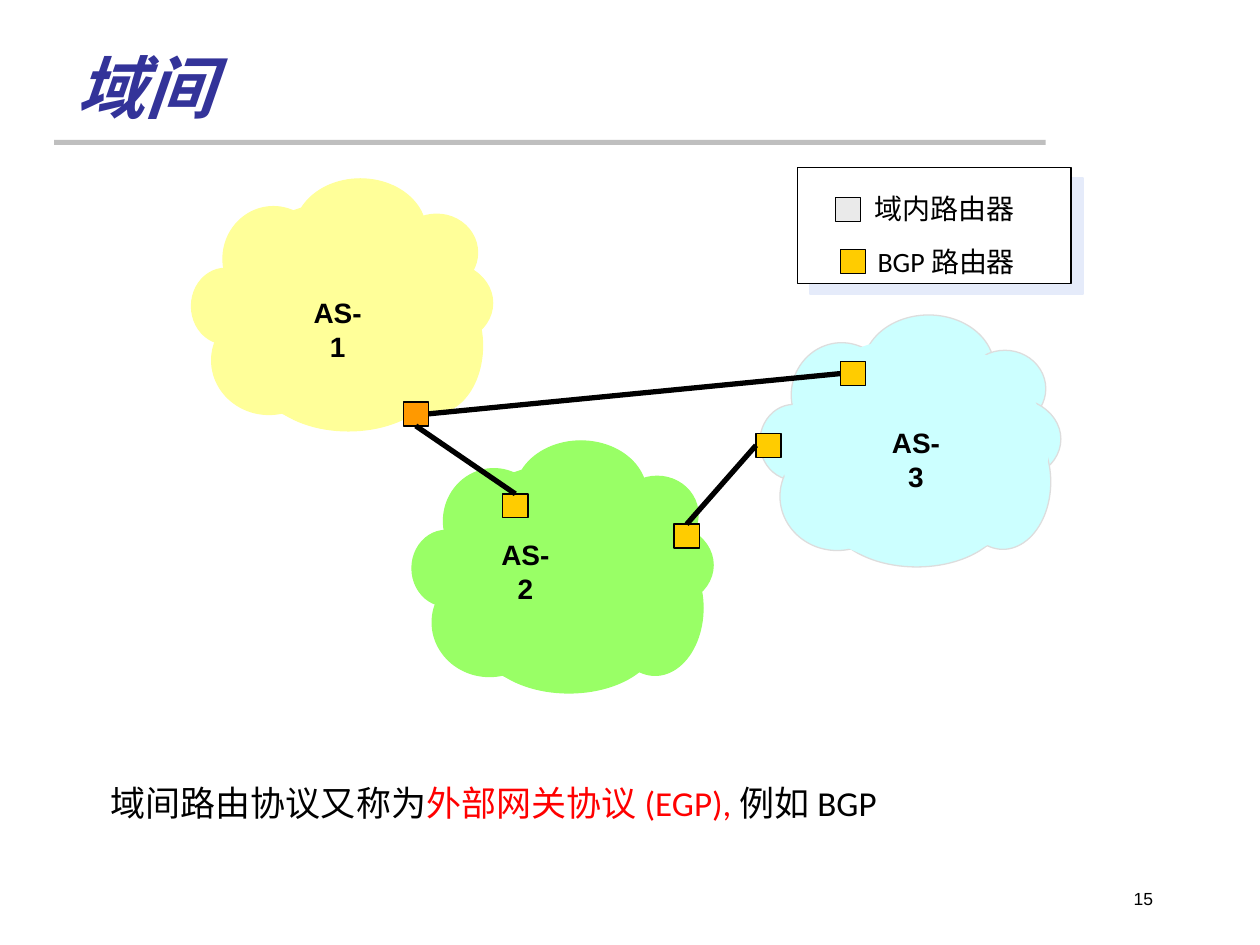
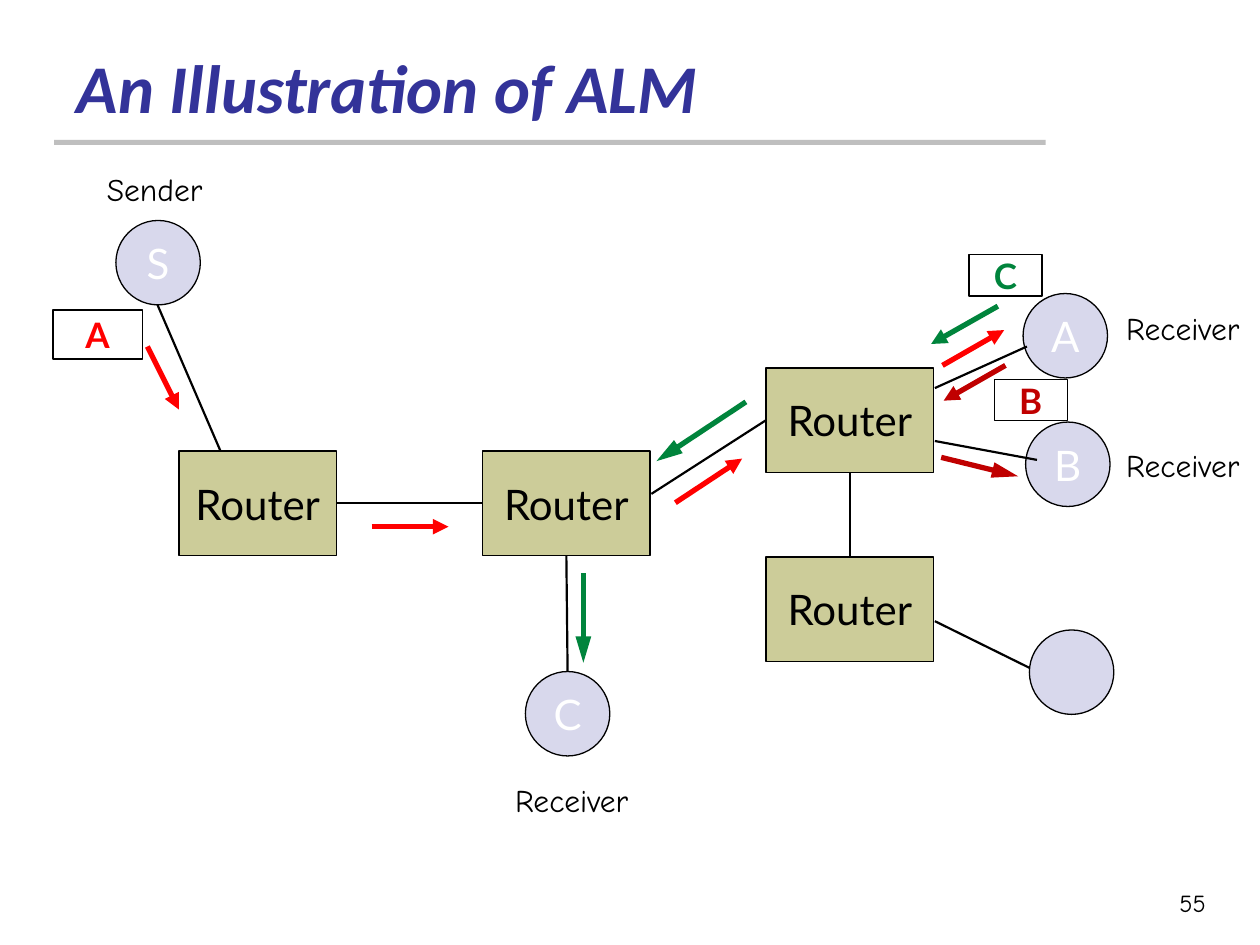
from dataclasses import dataclass

from lxml import etree
from pptx import Presentation
from pptx.dml.color import RGBColor
from pptx.enum.shapes import MSO_CONNECTOR, MSO_SHAPE
from pptx.enum.text import MSO_ANCHOR, MSO_AUTO_SIZE, PP_ALIGN
from pptx.oxml.ns import qn
from pptx.util import Pt

RECT, OVAL = MSO_SHAPE.RECTANGLE, MSO_SHAPE.OVAL
STRAIGHT = MSO_CONNECTOR.STRAIGHT
LEFT, MID, RIGHT = PP_ALIGN.LEFT, PP_ALIGN.CENTER, PP_ALIGN.RIGHT
CENTRE, LOW = MSO_ANCHOR.MIDDLE, MSO_ANCHOR.BOTTOM
GROW, FIXED = MSO_AUTO_SIZE.SHAPE_TO_FIT_TEXT, MSO_AUTO_SIZE.NONE
TOP, WEST, BASE, EAST = range(4)
EMU = 9144  # 100 px to the inch
TITLE_ONLY = 5

# Puffs of a cloud: offset from its corner, then width and height
PUFFS = [
    (82, 0, 104, 83), (25, 22, 80, 83), (0, 71, 54, 60),
    (16, 101, 91, 86), (54, 113, 141, 87), (162, 28, 65, 61),
    (162, 66, 77, 65), (155, 79, 76, 107), (17, 18, 212, 179),
]


@dataclass(frozen=True)
class Theme:
    black: str = "000000"
    white: str = "FFFFFF"
    title: str = "333399"
    bar: str = "BFBFBF"
    red: str = "FF0000"
    crimson: str = "C00000"
    green: str = "00843C"
    yellow: str = "FFFF99"
    cyan: str = "CCFFFF"
    lime: str = "99FF66"
    rim: str = "DDDDDD"
    gold: str = "FFCC00"
    orange: str = "FF9900"
    pale: str = "EAEAEA"
    shade: str = "E5EBFA"
    olive: str = "CCCC99"
    lilac: str = "D8D8EC"
    head: tuple = ("Calibri", 39)
    body: tuple = ("Calibri", 20)
    key: tuple = ("Calibri", 16)
    label: tuple = ("Arial", 16)
    page: tuple = ("Arial", 10)
    node: tuple = ("Lato", 24)
    tag: tuple = ("Lato", 20)
    note: tuple = ("Comic Neue", 18)
    leaf: tuple = ("Comic Neue", 14)


def scale(*sizes):
    return [size * EMU for size in sizes]


def tint(color):
    return RGBColor.from_string(color)


class Deck:
    def __init__(self, theme):
        self.theme = theme
        self.file = Presentation()
        self.file.slide_width, self.file.slide_height = scale(1000, 750)
        self.slide = self.host = None

    def start(self, title, page, box, style):
        """Open a slide with its bar, page number and title."""
        layout = self.file.slide_layouts[TITLE_ONLY]
        self.slide = self.file.slides.add_slide(layout)
        self.host = self.slide.shapes
        self.shape(RECT, (43, 111, 787, 4), self.theme.bar, None)
        self.text(box, [(page, self.theme.black)], style, RIGHT, wrap=True,
                  size=FIXED)
        head = self.slide.shapes.title
        head.left, head.top, head.width, head.height = scale(51, 28, 825, 78)
        frame = head.text_frame
        frame.auto_size, frame.vertical_anchor = FIXED, LOW
        self.put(frame, [(title, self.theme.title)], self.theme.head, LEFT,
                 bold=True, italic=True)

    def group(self):
        self.host = self.slide.shapes.add_group_shape().shapes

    def leave(self):
        """Draw on the slide again, outside any group."""
        self.host = self.slide.shapes

    def put(self, frame, runs, style, align, bold=False, italic=False):
        """Add runs of (words, color) to the first paragraph."""
        para = frame.paragraphs[0]
        para.alignment = align
        for words, color in runs:
            run = para.add_run()
            run.text = words
            font = run.font
            font.name, font.size = style[0], Pt(style[1])
            font.bold, font.italic = bold, italic
            font.color.rgb = tint(color)

    def text(self, box, runs, style, align=LEFT, bold=False, wrap=False,
             size=GROW):
        frame = self.host.add_textbox(*scale(*box)).text_frame
        frame.word_wrap, frame.auto_size = wrap, size
        self.put(frame, runs, style, align, bold)

    def shape(self, kind, box, fill, edge="000000", width=0.75):
        item = self.host.add_shape(kind, *scale(*box))
        item.shadow.inherit = False
        item.fill.solid()
        item.fill.fore_color.rgb = tint(fill)
        if edge:
            item.line.color.rgb = tint(edge)
            item.line.width = Pt(width)
        else:
            item.line.fill.background()
        return item

    def node(self, kind, box, fill, words, style, color, bold=False):
        """Draw a shape with centred text in it."""
        item = self.shape(kind, box, fill)
        frame = item.text_frame
        frame.word_wrap, frame.vertical_anchor = False, CENTRE
        self.put(frame, [(words, color)], style, MID, bold)
        return item

    def line(self, start, end, color, width, head=None):
        """Each end is a point, or a shape and the side to join."""
        link = self.host.add_connector(STRAIGHT, 0, 0, 0, 0)
        if isinstance(start[0], int):
            link.begin_x, link.begin_y = scale(*start)
        else:
            link.begin_connect(*start)
        if isinstance(end[0], int):
            link.end_x, link.end_y = scale(*end)
        else:
            link.end_connect(*end)
        link.line.color.rgb = tint(color)
        link.line.width = Pt(width)
        props = link._element.spPr
        if head:
            etree.SubElement(props.find(qn("a:ln")), qn("a:tailEnd"),
                             type="triangle", w="med", len=head)
        etree.SubElement(props, qn("a:effectLst"))

    def cloud(self, left, top, fill, edge, last):
        """Draw a group of ovals; last is the edge of the middle one."""
        self.group()
        for x, y, wide, high in PUFFS:
            rim = last if (x, y) == PUFFS[-1][:2] else edge
            self.shape(OVAL, (left + x, top + y, wide, high), fill, rim)
        self.leave()

    def router(self, left, top, fill):
        return self.shape(RECT, (left, top, 20, 19), fill)

    def shade(self, item, color):
        """Give a shape a hard shadow, down and to the right."""
        effects = item._element.spPr.find(qn("a:effectLst"))
        cast = etree.SubElement(effects, qn("a:outerShdw"), blurRad="0",
                                dist=str(Pt(9.2)), dir=str(41 * 60000),
                                algn="ctr", rotWithShape="0")
        etree.SubElement(cast, qn("a:srgbClr"), val=color)


def domains(deck):
    look = deck.theme
    deck.start("域间", "15", (717, 700, 208, 50), look.page)
    deck.cloud(152, 142, look.yellow, look.yellow, look.yellow)
    one = deck.router(320, 319, look.orange)
    deck.cloud(603, 250, look.cyan, look.rim, None)
    north = deck.router(667, 287, look.gold)
    west = deck.router(600, 344, look.gold)
    deck.cloud(327, 350, look.lime, look.lime, look.lime)
    two = deck.router(399, 392, look.gold)
    east = deck.router(535, 416, look.gold)
    for start, end in [((one, BASE), (two, TOP)), ((one, EAST), (north, WEST)),
                       ((east, TOP), (west, WEST))]:
        deck.line(start, end, look.black, 3)
    for name, left, top in [("AS-2", 382, 422), ("AS-1", 233, 230),
                            ("AS-3", 692, 333)]:
        deck.text((left, top, 70, 36), [(name, look.black)], look.label, MID,
                  bold=True)
    deck.text((78, 615, 839, 44),
              [("域间路由协议又称为", look.black),
               ("外部网关协议 (EGP), ", look.red),
               ("例如 BGP", look.black)], look.body, wrap=True)
    deck.group()
    panel = deck.shape(RECT, (633, 133, 217, 92), look.white, width=1)
    deck.shade(panel, look.shade)
    deck.router(667, 198, look.gold)
    deck.router(663, 157, look.pale)
    for words, top, wide in [("域内路由器", 147, 131), ("BGP 路由器", 189, 134)]:
        deck.text((684, top, wide, 36), [(words, look.black)], look.key, MID)
    deck.leave()


def relay(deck):
    look = deck.theme
    deck.start("An Illustration of ALM", "55", (893, 700, 74, 50), look.leaf)
    hub, first, upper, lower = [
        deck.node(RECT, (left, top, wide, 83), look.olive, "Router", look.node,
                  look.black)
        for left, top, wide in [(383, 358, 133), (142, 358, 125),
                                (608, 292, 133), (608, 442, 133)]]
    hosts = {
        name: deck.node(OVAL, (left, top, 67, 67), look.lilac, name, look.node,
                        look.white)
        for name, left, top in [("A", 812, 233), ("B", 814, 335),
                                ("C", 417, 533), ("S", 92, 175)]}
    deck.shape(OVAL, (817, 500, 67, 67), look.lilac)
    for start, end in [
            ((742, 308), (815, 275)), ((742, 350), (823, 365)),
            ((742, 493), (817, 530)), ((upper, BASE), (lower, TOP)),
            ((517, 392), (upper, WEST)), ((first, EAST), (hub, WEST)),
            ((hub, BASE), (hosts["C"], TOP)), ((125, 242), (175, 358))]:
        deck.line(start, end, look.black, 1.25)
    for words, left, top, wide in [
            ("Sender", 75, 130, 96), ("Receiver", 884, 240, 110),
            ("Receiver", 884, 349, 110), ("Receiver", 399, 615, 110)]:
        deck.text((left, top, wide, 40), [(words, look.black)], look.note)
    flows = [
        ("A", look.red, (42, 246, 71, 39),
         [(295, 418, 356, 418, "med"), (117, 275, 142, 325, "med"),
          (536, 399, 589, 364, "med"), (748, 290, 797, 262, "med")]),
        ("B", look.crimson, (789, 301, 58, 33),
         [(798, 290, 749, 318, "med"), (747, 363, 808, 378, "lg")]),
        ("C", look.green, (769, 202, 58, 33),
         [(792, 243, 739, 273, "med"), (592, 319, 521, 366, "lg"),
          (463, 455, 463, 526, "lg")]),
    ]
    for name, color, box, hops in flows:
        deck.group()
        deck.node(RECT, box, look.white, name, look.tag, color, bold=True)
        for *ends, head in hops:
            deck.line(ends[:2], ends[2:], color, 3, head)
        deck.leave()


def main():
    deck = Deck(Theme())
    domains(deck)
    relay(deck)
    deck.file.save("out.pptx")


if __name__ == "__main__":
    main()
